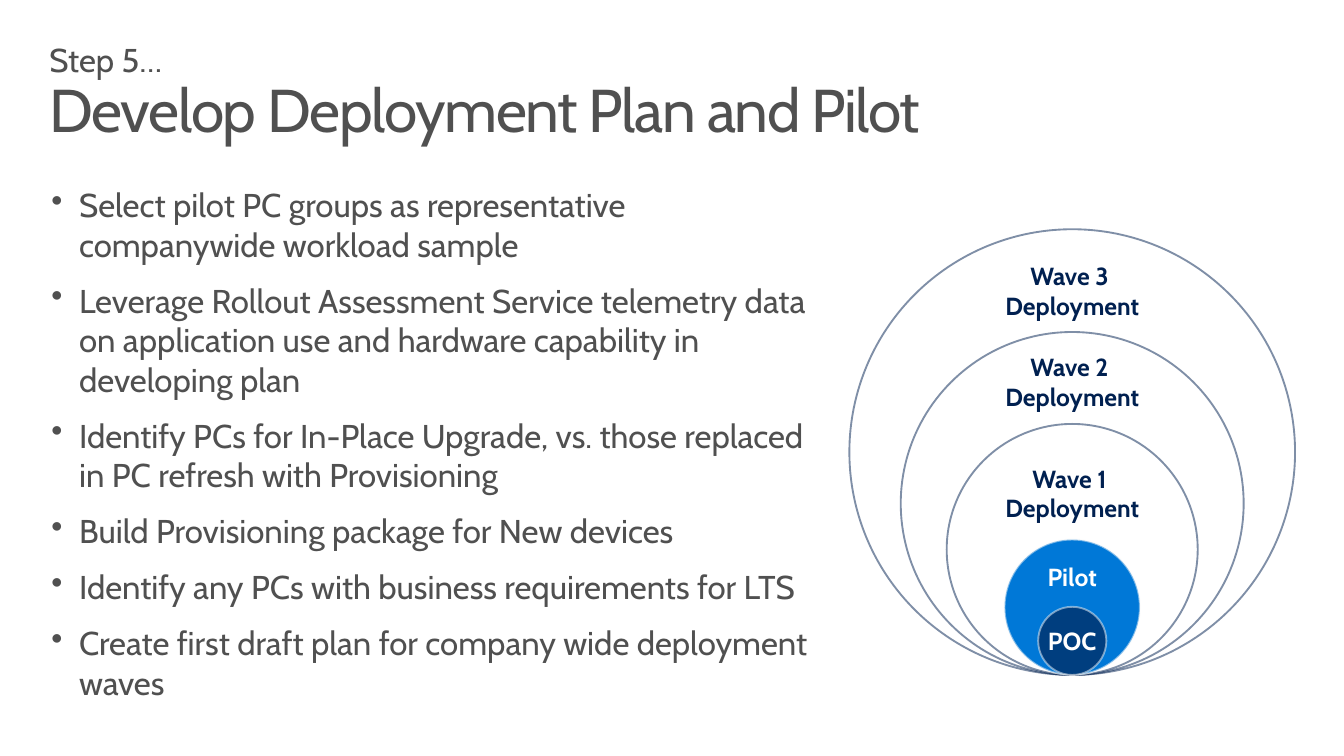
from pptx import Presentation
from pptx.dml.color import RGBColor
from pptx.enum.shapes import MSO_SHAPE
from pptx.enum.text import MSO_ANCHOR, MSO_AUTO_SIZE, PP_ALIGN
from pptx.oxml.ns import qn
from pptx.oxml.xmlchemy import OxmlElement
from pptx.util import Pt

PX = 9144  # 100 px to the inch
OVAL = MSO_SHAPE.OVAL
TOP, MIDDLE = MSO_ANCHOR.TOP, MSO_ANCHOR.MIDDLE
LEFT, CENTER = PP_ALIGN.LEFT, PP_ALIGN.CENTER
NO_AUTOFIT = MSO_AUTO_SIZE.NONE
GRAY, NAVY, BLUE, WHITE, PALE = "505050", "002050", "0078D7", "FFFFFF", "F9F9F9"


def set_color(fill, color, opacity=100):
    """Make a shape, line or font fill solid; opacity is in percent."""
    fill.solid()
    fill.fore_color.rgb = RGBColor.from_string(color)
    if opacity < 100:
        alpha = OxmlElement("a:alpha")
        alpha.set("val", str(opacity * 1000))
        fill._xPr.find(qn("a:solidFill"))[0].append(alpha)


def write(frame, text, size=18, color=NAVY, bold=False, align=CENTER, anchor=TOP,
          wrap=True, margins=(0, 0), bullet=False, space_before=0):
    """Fill a text frame, one paragraph a line; \\v is a line break."""
    frame.auto_size = NO_AUTOFIT
    frame.word_wrap = wrap
    frame.vertical_anchor = anchor
    frame.margin_left = frame.margin_right = margins[0] * PX
    frame.margin_top = frame.margin_bottom = margins[1] * PX
    frame.text = text
    for index, paragraph in enumerate(frame.paragraphs):
        paragraph.alignment = align
        if index:
            paragraph.space_before = Pt(space_before)
        if bullet:
            properties = paragraph._p.get_or_add_pPr()
            properties.set("marL", str(28 * PX))
            properties.set("indent", str(-28 * PX))
            mark = OxmlElement("a:buChar")
            mark.set("char", "•")
            properties.append(mark)
        for run in paragraph.runs:
            run.font.name = "Cabin"
            run.font.size = Pt(size)
            run.font.bold = bold
            set_color(run.font.fill, color)


presentation = Presentation()
presentation.slide_width = 1360 * PX
presentation.slide_height = 765 * PX
slide = presentation.slides.add_slide(presentation.slide_layouts[5])
shapes = slide.shapes

# Title
title = shapes.title
title.left, title.top, title.width, title.height = 34 * PX, 35 * PX, 1300 * PX, 100 * PX
write(title.text_frame, "Step 5…\vDevelop Deployment Plan and Pilot",
      size=24, color=GRAY, align=LEFT, margins=(16, 10))
heading = title.text_frame.paragraphs[0]
heading.line_spacing = 0.9
headline = heading.runs[1]
headline.font.size = Pt(44)
headline._r.get_or_add_rPr().set("spc", "-100")

# Planning steps
steps = [
    "Select pilot PC groups as representative companywide workload sample",
    "Leverage Rollout Assessment Service telemetry data on application use "
    "and hardware capability in developing plan",
    "Identify PCs for In-Place Upgrade, vs. those replaced in PC refresh with Provisioning",
    "Build Provisioning package for New devices",
    "Identify any PCs with business requirements for LTS",
    "Create first draft plan for company wide deployment waves",
]
body = shapes.add_textbox(52 * PX, 177 * PX, 779 * PX, 549 * PX)
write(body.text_frame, "\n".join(steps), size=24, color=GRAY, align=LEFT,
      margins=(0, 10), bullet=True, space_before=12)

# Nested circles, all resting on the same bottom point
CENTER_X, BOTTOM = 1085, 683
circles = [  # diameter, fill, fill opacity, line
    (451, WHITE, 100, NAVY),
    (347, WHITE, 100, NAVY),
    (254, WHITE, 100, NAVY),
    (137, BLUE, 100, PALE),
    (69, NAVY, 65, PALE),
]
for diameter, fill, opacity, line in circles:
    circle = shapes.add_shape(OVAL, round((CENTER_X - diameter / 2) * PX),
                              (BOTTOM - diameter) * PX, diameter * PX, diameter * PX)
    circle.shadow.inherit = False
    set_color(circle.fill, fill, opacity)
    set_color(circle.line.fill, line, 50)
    circle.line.width = Pt(1.35)
write(circle.text_frame, "POC", color=WHITE, bold=True, anchor=MIDDLE, wrap=False)

# Circle labels
labels = [
    ("Wave 1 \vDeployment", 469, 61, NAVY),
    ("Wave 2 \vDeployment", 356, 61, NAVY),
    ("Wave 3 \vDeployment", 264, 61, NAVY),
    ("Pilot", 569, 30, WHITE),
]
LABEL_WIDTH = 168
for text, top, height, color in labels:
    label = shapes.add_textbox((CENTER_X - LABEL_WIDTH // 2) * PX, top * PX,
                               LABEL_WIDTH * PX, height * PX)
    write(label.text_frame, text, color=color, bold=True)

presentation.save("out.pptx")
